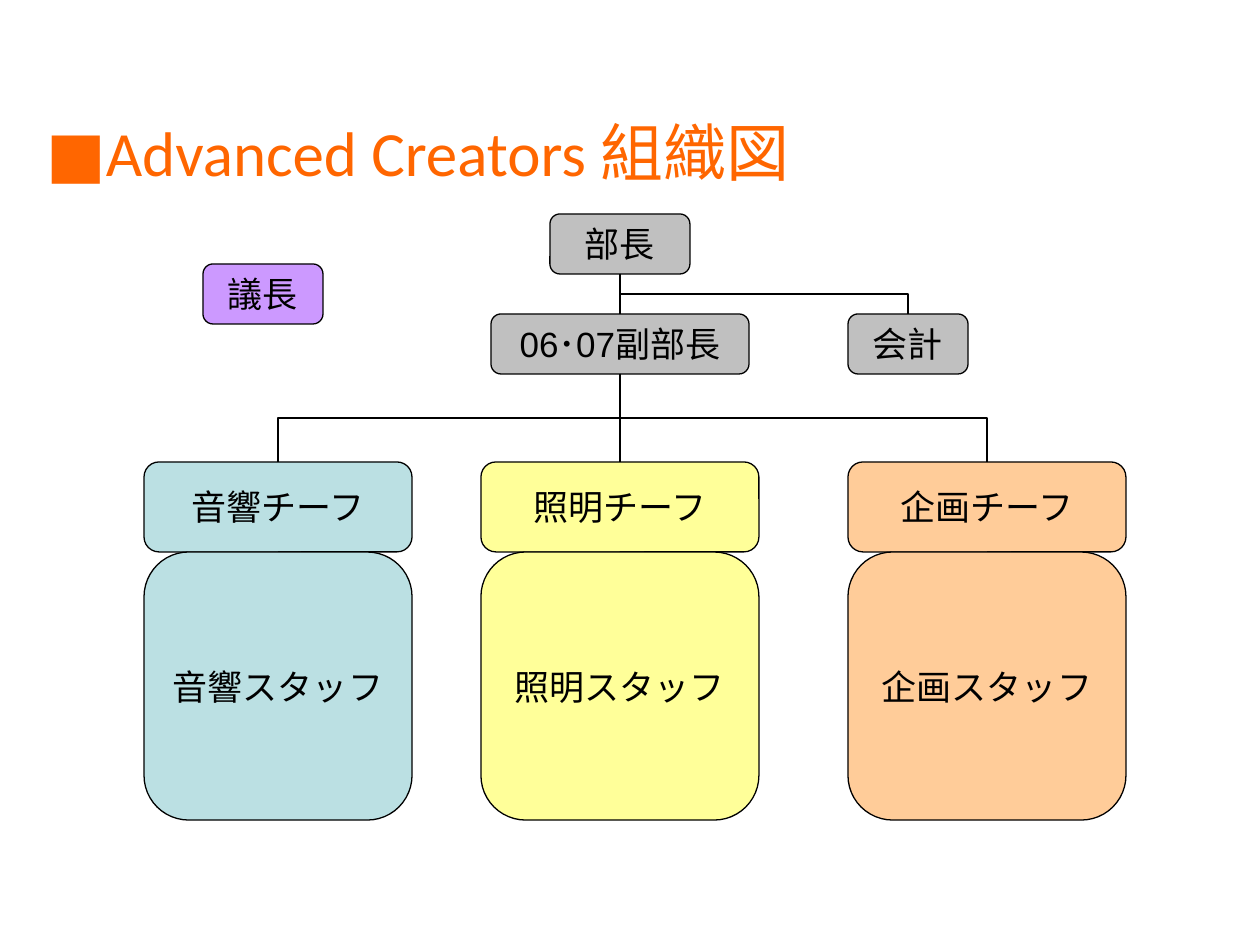
from lxml.etree import SubElement
from pptx import Presentation
from pptx.dml.color import RGBColor
from pptx.enum.shapes import MSO_CONNECTOR, MSO_SHAPE
from pptx.enum.text import MSO_ANCHOR, PP_ALIGN
from pptx.oxml.ns import qn
from pptx.util import Emu, Pt

PX = 914400 / 126
TOP, BOTTOM = 0, 2
CHIEF_HEIGHT = 90

COLORS = {
    "heading": "FF6600",
    "ink": "000000",
    "officer": "C0C0C0",
    "chair": "CC99FF",
    "sound": "BBE0E3",
    "lighting": "FFFF99",
    "planning": "FFCC99",
}
HEADING_FONT = {"name": "Calibri", "size": Pt(36)}
BOX_FONT = {"name": "Arial", "size": Pt(20)}

OFFICERS = {
    "部長": (550, 214, 140, 60),
    "06･07副部長": (491, 314, 258, 60),
    "会計": (848, 314, 120, 60),
}
TEAMS = [
    ("音響", "sound", (144, 462, 268, 358)),
    ("照明", "lighting", (481, 462, 278, 358)),
    ("企画", "planning", (848, 462, 278, 358)),
]


def px(*lengths):
    return [Emu(round(length * PX)) for length in lengths]


def color(key):
    return RGBColor.from_string(COLORS[key])


def write(frame, text, font_format, color_key, align):
    frame.vertical_anchor = MSO_ANCHOR.MIDDLE
    paragraph = frame.paragraphs[0]
    paragraph.alignment = align
    run = paragraph.add_run()
    run.text = text
    for attribute, value in font_format.items():
        setattr(run.font, attribute, value)
    run.font.color.rgb = color(color_key)


def add_heading(slide, box):
    heading = slide.shapes.add_textbox(*px(*box))
    heading.text_frame.word_wrap = True
    write(heading.text_frame, "■Advanced Creators 組織図", HEADING_FONT,
          "heading", PP_ALIGN.LEFT)


def add_role(slide, text, fill, box):
    role = slide.shapes.add_shape(MSO_SHAPE.FLOWCHART_ALTERNATE_PROCESS, *px(*box))
    role.shadow.inherit = False
    role.fill.solid()
    role.fill.fore_color.rgb = color(fill)
    role.line.color.rgb = color("ink")
    role.line.width = Pt(0.75)
    role.text_frame.word_wrap = False
    write(role.text_frame, text, BOX_FONT, "ink", PP_ALIGN.CENTER)
    return role


def add_team(slide, name, fill, box):
    """Stack the chief above the staff and return the chief."""
    left, top, width, height = box
    chief = add_role(slide, name + "チーフ", fill, (left, top, width, CHIEF_HEIGHT))
    add_role(slide, name + "スタッフ", fill,
             (left, top + CHIEF_HEIGHT, width, height - CHIEF_HEIGHT))
    return chief


def turn_downward(elbow, start_x, start_y, end_x, end_y):
    """Rotate an elbow so that it leaves and arrives vertically."""
    drop, run = end_y - start_y, abs(end_x - start_x)
    elbow.left = Emu((start_x + end_x - drop) // 2)
    elbow.top = Emu((start_y + end_y - run) // 2)
    elbow.width, elbow.height = Emu(drop), Emu(run)
    rightward = end_x > start_x
    xfrm = elbow._element.spPr.find(qn("a:xfrm"))
    xfrm.set("rot", "16200000" if rightward else "5400000")
    xfrm.set("flipH", "1" if rightward else "0")
    xfrm.set("flipV", "0")


def link(slide, upper, lower):
    start = (upper.left + upper.width // 2, upper.top + upper.height)
    end = (lower.left + lower.width // 2, lower.top)
    straight = abs(start[0] - end[0]) < PX
    kind = MSO_CONNECTOR.STRAIGHT if straight else MSO_CONNECTOR.ELBOW
    connector = slide.shapes.add_connector(kind, *start, *end)
    connector.begin_connect(upper, BOTTOM)
    connector.end_connect(lower, TOP)
    if not straight:
        turn_downward(connector, *start, *end)
    connector.line.color.rgb = color("ink")
    connector.line.width = Pt(0.75)
    SubElement(connector._element.spPr, qn("a:effectLst"))


def add_organization(slide):
    president, deputy, treasurer = [
        add_role(slide, text, "officer", box) for text, box in OFFICERS.items()
    ]
    add_role(slide, "議長", "chair", (203, 264, 120, 60))
    chiefs = [add_team(slide, *team) for team in TEAMS]
    for member in (deputy, treasurer):
        link(slide, president, member)
    for chief in chiefs:
        link(slide, deputy, chief)


def main():
    presentation = Presentation()
    presentation.slide_width, presentation.slide_height = px(1260, 945)
    slide = presentation.slides.add_slide(presentation.slide_layouts[6])
    add_heading(slide, (34, 106, 1201, 90))
    add_organization(slide)
    presentation.save("out.pptx")


if __name__ == "__main__":
    main()
